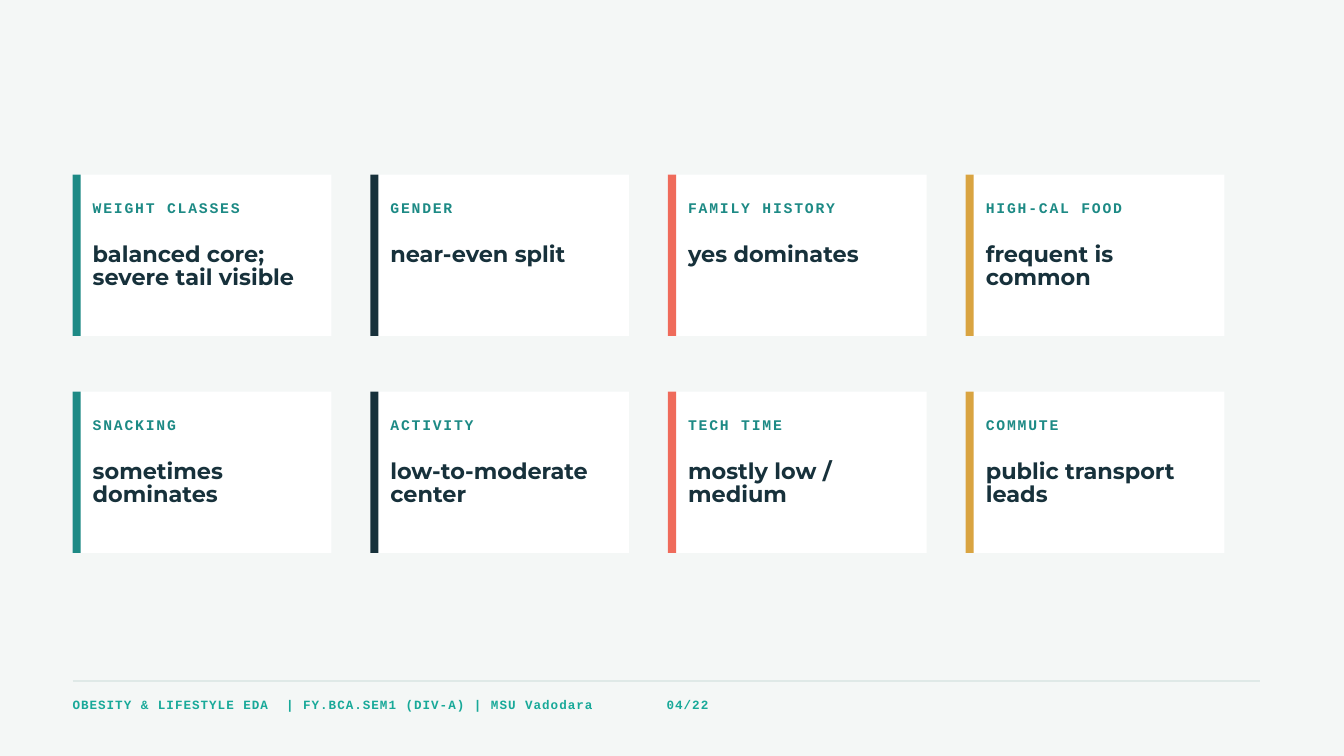
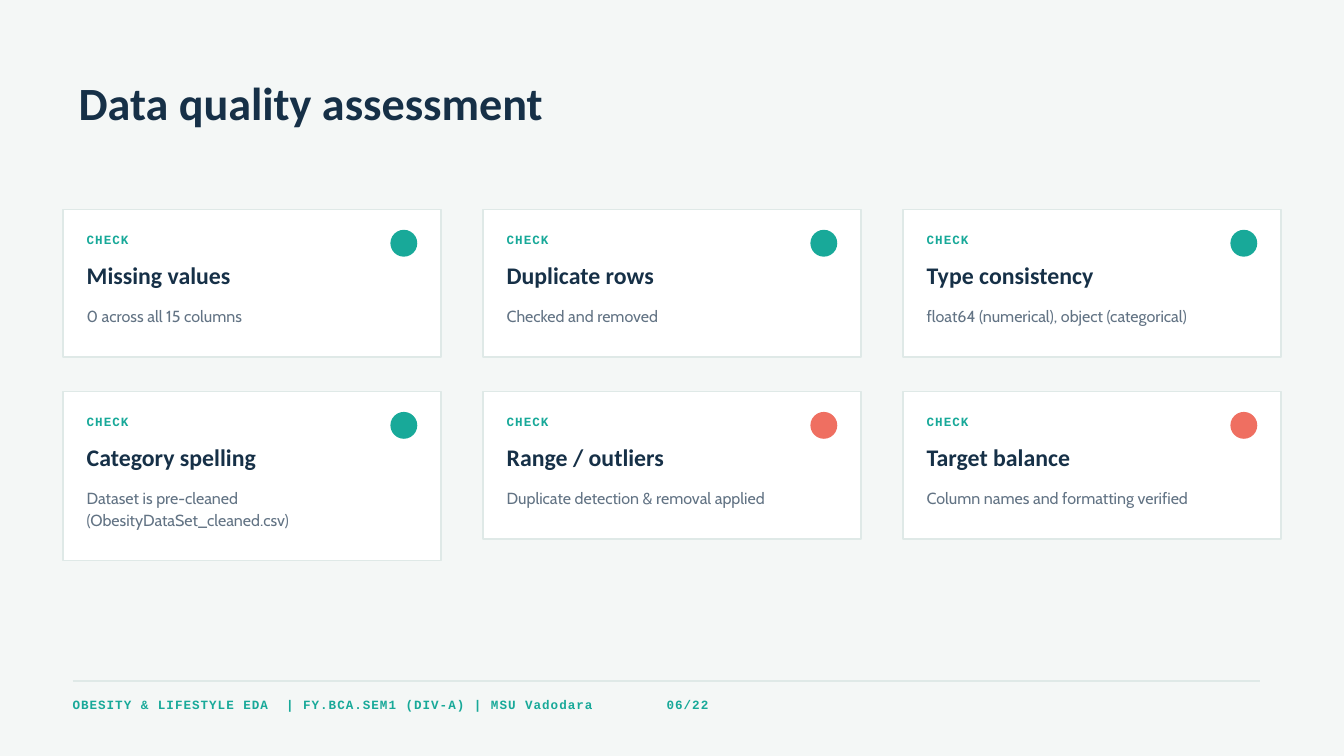
import dataclasses
import math

import lxml.etree
import pptx
import pptx.dml.color
import pptx.enum.shapes
import pptx.enum.text
import pptx.oxml.ns
import pptx.util

COLUMNS, ROWS = 20, 11.25
UNIT = pptx.util.Inches(1)
SHAPES = pptx.enum.shapes.MSO_SHAPE


@dataclasses.dataclass(frozen=True)
class TextStyle:
    font: str
    size: float
    leading: float
    color: str
    bold: bool = True
    tracking: float = 0

    def height(self, lines=1):
        return lines * self.leading / 72


@dataclasses.dataclass(frozen=True)
class Theme:
    page: str = "F4F7F6"
    card: str = "FFFFFF"
    rule: str = "DFE9E7"
    passed: str = "18A999"
    warning: str = "EF6F61"
    accents: tuple = ("1D8A85", "17313B", "EF6B5B", "D9A441")
    title: TextStyle = TextStyle("Calibri", 49.5, 51.5, "163047")
    topic: TextStyle = TextStyle("Courier New", 15.8, 22, "1D8A85", tracking=1.9)
    finding: TextStyle = TextStyle("Montserrat", 24, 25.2, "17313B")
    tag: TextStyle = TextStyle("Courier New", 13.5, 18.9, "18A999", tracking=1.1)
    check: TextStyle = TextStyle("Calibri", 25.5, 26.5, "163047")
    result: TextStyle = TextStyle("Cabin", 17.2, 23.3, "627384", bold=False)


@dataclasses.dataclass(frozen=True)
class Grid:
    left: float
    top: float
    column_step: float
    row_step: float
    columns: int

    def place(self, index):
        row, column = divmod(index, self.columns)
        return self.left + column * self.column_step, self.top + row * self.row_step


THEME = Theme()
FINDING_GRID = Grid(1.08, 2.6, 4.43, 3.23, 4)
CHECK_GRID = Grid(0.94, 3.12, 6.25, 2.71, 3)

FINDINGS = (
    ("WEIGHT CLASSES", "balanced core; severe tail visible"),
    ("GENDER", "near-even split"),
    ("FAMILY HISTORY", "yes dominates"),
    ("HIGH-CAL FOOD", "frequent is common"),
    ("SNACKING", "sometimes dominates"),
    ("ACTIVITY", "low-to-moderate center"),
    ("TECH TIME", "mostly low / medium"),
    ("COMMUTE", "public transport leads"),
)
CHECKS = (
    ("Missing values", "0 across all 15 columns", THEME.passed),
    ("Duplicate rows", "Checked and removed", THEME.passed),
    ("Type consistency", "float64 (numerical), object (categorical)", THEME.passed),
    ("Category spelling", "Dataset is pre-cleaned (ObesityDataSet_cleaned.csv)", THEME.passed),
    ("Range / outliers", "Duplicate detection & removal applied", THEME.warning),
    ("Target balance", "Column names and formatting verified", THEME.warning),
)


def rgb(color):
    return pptx.dml.color.RGBColor.from_string(color)


def units(*lengths):
    return [round(length * UNIT) for length in lengths]


def add_text(shapes, text, style, left, top, width, lines=1):
    box = shapes.add_textbox(*units(left, top, width, style.height(lines)))
    frame = box.text_frame
    frame.margin_left = frame.margin_right = frame.margin_top = frame.margin_bottom = 0
    frame.word_wrap = True
    frame.auto_size = pptx.enum.text.MSO_AUTO_SIZE.SHAPE_TO_FIT_TEXT
    frame.text = text
    paragraph = frame.paragraphs[0]
    paragraph.line_spacing = pptx.util.Pt(style.leading)
    for run in paragraph.runs:
        run.font.name = style.font
        run.font.size = pptx.util.Pt(style.size)
        run.font.bold = style.bold
        run.font.color.rgb = rgb(style.color)
        if style.tracking:
            run._r.get_or_add_rPr().set("spc", str(round(style.tracking * 100)))


def add_panel(shapes, kind, fill, left, top, width, height, outline=None):
    panel = shapes.add_shape(kind, *units(left, top, width, height))
    panel.shadow.inherit = False
    panel.fill.solid()
    panel.fill.fore_color.rgb = rgb(fill)
    if outline:
        panel.line.color.rgb = rgb(outline)
        panel.line.width = pptx.util.Pt(1.5)
    else:
        panel.line.fill.background()


def add_finding(slide, index, topic, finding):
    left, top = FINDING_GRID.place(index)
    accent = THEME.accents[index % FINDING_GRID.columns]
    card = slide.shapes.add_group_shape().shapes
    add_panel(card, SHAPES.RECTANGLE, THEME.card, left, top, 3.85, 2.4)
    add_panel(card, SHAPES.RECTANGLE, accent, left, top, 0.12, 2.4)
    add_text(card, topic, THEME.topic, left + 0.3, top + 0.31, 3.33)
    add_text(card, finding, THEME.finding, left + 0.3, top + 1.02, 3.33,
             math.ceil(len(finding) / 17))


def add_check(slide, index, check, result, status):
    left, top = CHECK_GRID.place(index)
    lines = math.ceil(len(result) / 45)
    height = 2.19 + THEME.result.height(lines - 1)
    card = slide.shapes.add_group_shape().shapes
    add_panel(card, SHAPES.RECTANGLE, THEME.card, left, top, 5.62, height, THEME.rule)
    add_panel(card, SHAPES.OVAL, status, left + 4.87, top + 0.3, 0.4, 0.4)
    add_text(card, "CHECK", THEME.tag, left + 0.35, top + 0.29, 1.25)
    add_text(card, check, THEME.check, left + 0.35, top + 0.82, 5.1)
    add_text(card, result, THEME.result, left + 0.35, top + 1.4, 5, lines)


def add_footer(slide, page):
    footer = slide.shapes.add_group_shape().shapes
    rule = footer.add_connector(pptx.enum.shapes.MSO_CONNECTOR.STRAIGHT,
                                *units(1.08, 10.14, 18.75, 10.14))
    rule.line.color.rgb = rgb(THEME.rule)
    rule.line.width = pptx.util.Pt(2)
    lxml.etree.SubElement(rule._element.spPr, pptx.oxml.ns.qn("a:effectLst"))
    add_text(footer, "OBESITY & LIFESTYLE EDA  | FY.BCA.SEM1 (DIV-A) | MSU Vadodara",
             THEME.tag, 1.08, 10.34, 9.31)
    add_text(footer, f"{page:02}/22", THEME.tag, 9.92, 10.34, 9.31)


def add_page(deck):
    slide = deck.slides.add_slide(deck.slide_layouts[6])
    slide.background.fill.solid()
    slide.background.fill.fore_color.rgb = rgb(THEME.page)
    return slide


def build_findings(deck):
    slide = add_page(deck)
    for index, finding in enumerate(FINDINGS):
        add_finding(slide, index, *finding)
    add_footer(slide, 4)


def build_checks(deck):
    slide = add_page(deck)
    add_text(slide.shapes, "Data quality assessment", THEME.title, 1.17, 1.22, 15.62)
    for index, check in enumerate(CHECKS):
        add_check(slide, index, *check)
    add_footer(slide, 6)


def main():
    deck = pptx.Presentation()
    deck.slide_width, deck.slide_height = units(COLUMNS, ROWS)
    build_findings(deck)
    build_checks(deck)
    deck.save("out.pptx")


if __name__ == "__main__":
    main()
